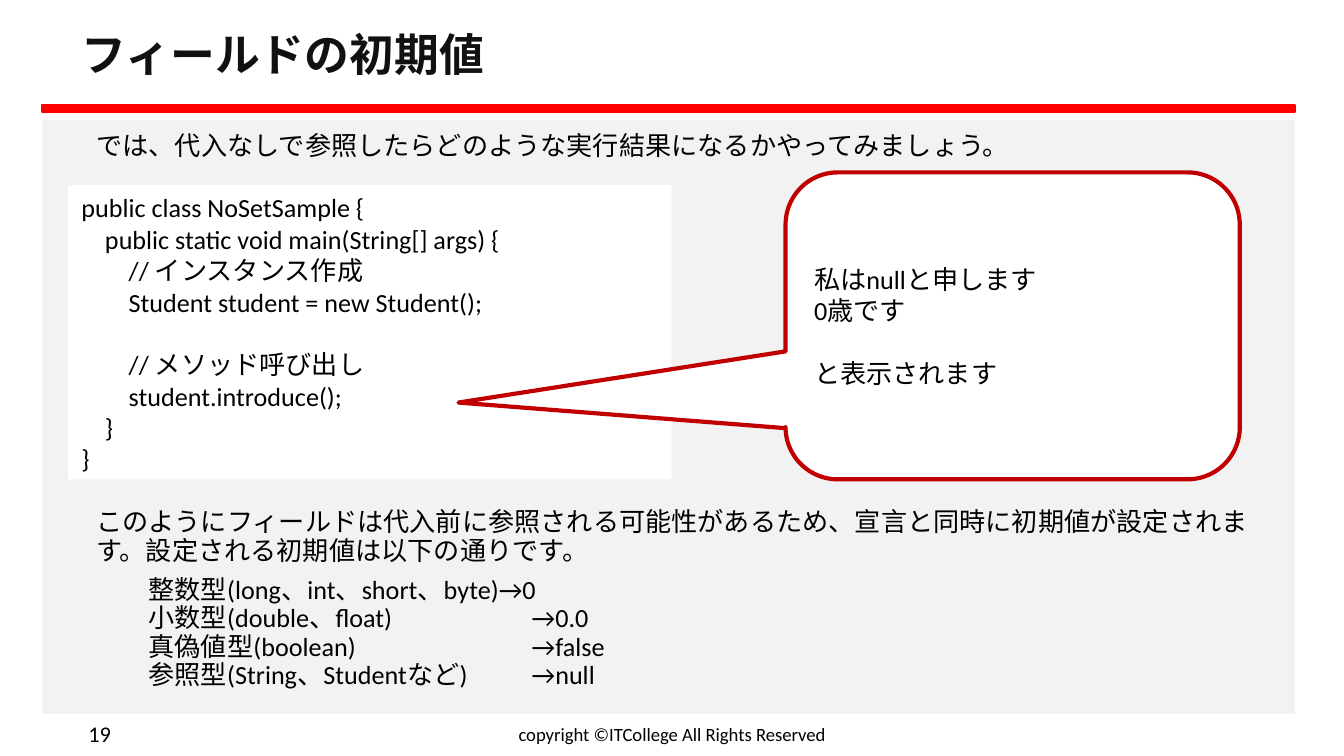
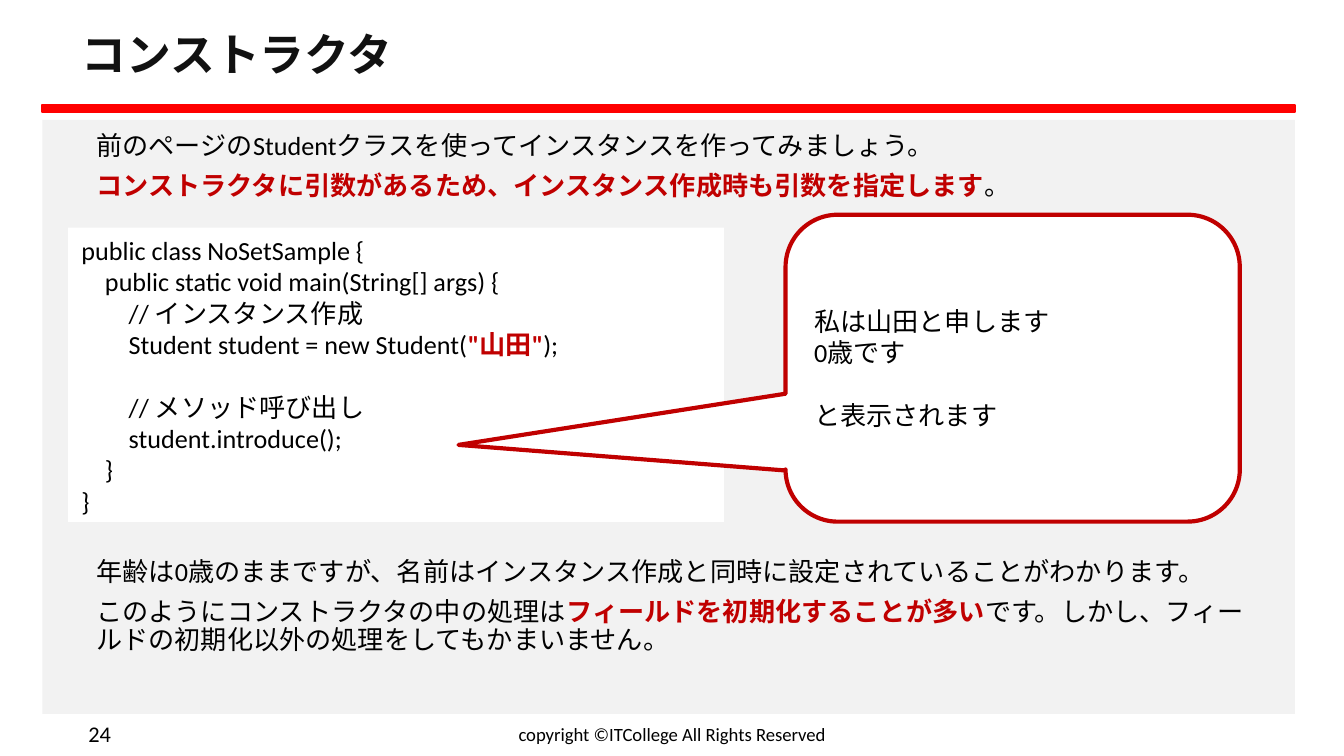
import lxml.etree
import pptx
import pptx.dml.color
import pptx.enum.shapes
import pptx.enum.text
import pptx.oxml
import pptx.oxml.ns
import pptx.util

RED = pptx.dml.color.RGBColor(0xFF, 0x00, 0x00)
DARK_RED = pptx.dml.color.RGBColor(0xC0, 0x00, 0x00)
PALE_GREY = pptx.dml.color.RGBColor(0xF2, 0xF2, 0xF2)
INK = pptx.dml.color.RGBColor(0x11, 0x11, 0x11)
BLACK = pptx.dml.color.RGBColor(0x00, 0x00, 0x00)
WHITE = pptx.dml.color.RGBColor(0xFF, 0xFF, 0xFF)

FONT = "Calibri"
SHAPE = pptx.enum.shapes.MSO_SHAPE
ALIGN = pptx.enum.text.PP_ALIGN
ANCHOR = pptx.enum.text.MSO_ANCHOR
WIDTH = pptx.util.Inches(10)
HEIGHT = WIDTH * 9 // 16

# Columns and rows are hundredths of the slide
LEFT, TEXT_WIDTH = 5.07, 89.9
PANEL_LEFT, PANEL_WIDTH = 3.15, 93.2
TITLE_TOP, TITLE_HEIGHT = 2.31, 10.5
FOOTER_TOP, FOOTER_HEIGHT = 94.6, 5
CODE_HEIGHT, CALLOUT_HEIGHT = 38.93, 40.6
CALLOUT_RISE = 1.7
PROSE = {"indent": 0.11, "spacing": 0.9, "before": 6}
TYPE_LIST = {"indent": 0.5, "spacing": 0.9, "before": 6, "tab": 2.85}


def area(left, top, width, height):
    """Turn columns and rows into left, top, width and height on the slide."""
    return (int(WIDTH * left / 100), int(HEIGHT * top / 100),
            int(WIDTH * width / 100), int(HEIGHT * height / 100))


def write(frame, lines, size=14, color=BLACK, bold=False, align=ALIGN.LEFT,
          anchor=ANCHOR.TOP, indent=0, spacing=None, before=0, tab=None,
          append=False):
    """Fill a frame with one paragraph a line.

    Text between asterisks stands out; a newline breaks the line; tab is
    the distance from the indent to the tab stop, in inches.
    """
    frame.word_wrap = True
    frame.auto_size = pptx.enum.text.MSO_AUTO_SIZE.NONE
    frame.vertical_anchor = anchor
    for number, line in enumerate(lines):
        first = number == 0 and not append
        paragraph = frame.paragraphs[0] if first else frame.add_paragraph()
        properties = paragraph._p.get_or_add_pPr()
        properties.set("marL", str(pptx.util.Inches(indent)))
        properties.set("indent", "0")
        namespace = pptx.oxml.ns.nsdecls("a")
        properties.append(pptx.oxml.parse_xml(f"<a:buNone {namespace}/>"))
        if tab:
            properties.set("defTabSz", str(pptx.util.Inches(tab)))
            stop = pptx.util.Inches(indent + tab)
            properties.append(pptx.oxml.parse_xml(
                f'<a:tabLst {namespace}><a:tab pos="{stop}" algn="l"/></a:tabLst>'))
        paragraph.alignment = align
        paragraph.line_spacing = spacing
        paragraph.space_before = pptx.util.Pt(0 if first else before)
        for part, words in enumerate(line.split("*")):
            strong = part % 2 == 1
            for row, piece in enumerate(words.split("\n")):
                if row:
                    paragraph.add_line_break()
                    lxml.etree.SubElement(
                        paragraph._p[-1], pptx.oxml.ns.qn("a:rPr"), sz=str(size * 100))
                run = paragraph.add_run()
                run.text = piece
                run.font.name = FONT
                run.font.size = pptx.util.Pt(size)
                run.font.bold = bold or strong
                run.font.color.rgb = DARK_RED if strong else color


CODE = """public class NoSetSample {
    public static void main(String[] args) {
        // インスタンス作成
        Student student = new Student(ARGUMENT);

        // メソッド呼び出し
        student.introduce();
    }
}"""

pages = [
    {
        "number": "19",
        "title": "フィールドの初期値",
        "intro": ["では、代入なしで参照したらどのような実行結果になるかやってみましょう。"],
        "intro_height": 6.05,
        "argument": "",
        "code_top": 24.5,
        "code_width": 44.9,
        "name": "null",
        "closing_top": 66.5,
        "closing_height": 28.1,
        "closing": ["このようにフィールドは代入前に参照される可能性があるため、"
                    "宣言と同時に初期値が設定されます。設定される初期値は以下の通りです。"],
        "defaults": ["整数型(long、int、short、byte)→0\n"
                     "小数型(double、float)\t→0.0\n"
                     "真偽値型(boolean)\t→false\n"
                     "参照型(String、Studentなど)\t→null"],
    },
    {
        "number": "24",
        "title": "コンストラクタ",
        "intro": ["前のページのStudentクラスを使ってインスタンスを作ってみましょう。",
                  "*コンストラクタに引数があるため、インスタンス作成時も引数を指定します*。"],
        "intro_height": 11.73,
        "argument": '*"山田"*',
        "code_top": 30.1,
        "code_width": 48.8,
        "name": "山田",
        "closing_top": 73.1,
        "closing_height": 17.8,
        "closing": ["年齢は0歳のままですが、名前はインスタンス作成と同時に設定されていることがわかります。",
                    "このようにコンストラクタの中の処理は*フィールドを初期化することが多い*です。"
                    "しかし、フィールドの初期化以外の処理をしてもかまいません。"],
        "defaults": [],
    },
]

deck = pptx.Presentation()
deck.slide_width, deck.slide_height = WIDTH, HEIGHT
layout = deck.slide_layouts[1]
slides = [deck.slides.add_slide(layout) for page in pages]

# Panel and rule are drawn once, then moved to the layout both slides share
bands = [(15.85, 78.6, PALE_GREY, None), (13.87, 0.95, RED, RED)]
for order, (top, height, fill, edge) in enumerate(bands):
    band = slides[0].shapes.add_shape(
        SHAPE.RECTANGLE, *area(PANEL_LEFT, top, PANEL_WIDTH, height))
    band.shadow.inherit = False
    band.fill.solid()
    band.fill.fore_color.rgb = fill
    if edge is None:
        band.line.fill.background()
    else:
        band.line.color.rgb = edge
        band.line.width = pptx.util.Pt(1)
    band._element.nvSpPr.cNvPr.set("id", str(20 + order))
    layout.shapes._spTree.insert(2 + order, band._element)

for slide, page in zip(slides, pages):
    title, intro = slide.placeholders
    title.left, title.top, title.width, title.height = area(
        LEFT, TITLE_TOP, TEXT_WIDTH, TITLE_HEIGHT)
    write(title.text_frame, [page["title"]], size=24, color=INK, bold=True,
          anchor=ANCHOR.MIDDLE, spacing=0.9)

    intro.left, intro.top, intro.width, intro.height = area(
        LEFT, 16.7, TEXT_WIDTH, page["intro_height"])
    write(intro.text_frame, page["intro"], **PROSE)

    listing = slide.shapes.add_shape(
        SHAPE.RECTANGLE, *area(LEFT, page["code_top"], page["code_width"], CODE_HEIGHT))
    listing.line.fill.background()
    write(listing.text_frame, CODE.replace("ARGUMENT", page["argument"]).split("\n"))

    result = slide.shapes.add_shape(
        SHAPE.ROUNDED_RECTANGULAR_CALLOUT,
        *area(58.45, page["code_top"] - CALLOUT_RISE, 33.8, CALLOUT_HEIGHT))
    for index, value in enumerate((-1.22, 0.25, 0.17)):
        result.adjustments[index] = value
    result.line.color.rgb = DARK_RED
    result.line.width = pptx.util.Pt(2.25)
    write(result.text_frame, [f"私は{page['name']}と申します", "0歳です"], anchor=ANCHOR.MIDDLE)
    write(result.text_frame, ["と表示されます"], anchor=ANCHOR.MIDDLE, before=17, append=True)

    for box in (listing, result):
        box.shadow.inherit = False
        box.fill.solid()
        box.fill.fore_color.rgb = WHITE

    closing = slide.shapes.add_textbox(
        *area(LEFT, page["closing_top"], TEXT_WIDTH, page["closing_height"]))
    write(closing.text_frame, page["closing"], **PROSE)
    write(closing.text_frame, page["defaults"], append=True, **TYPE_LIST)

    copyright_line = slide.shapes.add_textbox(*area(33.1, FOOTER_TOP, 33.8, FOOTER_HEIGHT))
    write(copyright_line.text_frame, ["copyright ©ITCollege All Rights Reserved"],
          size=10, align=ALIGN.CENTER, anchor=ANCHOR.MIDDLE)
    page_number = slide.shapes.add_textbox(*area(2.35, FOOTER_TOP, 6.9, FOOTER_HEIGHT))
    write(page_number.text_frame, [page["number"]], size=12, align=ALIGN.RIGHT,
          anchor=ANCHOR.MIDDLE)

deck.save("out.pptx")
